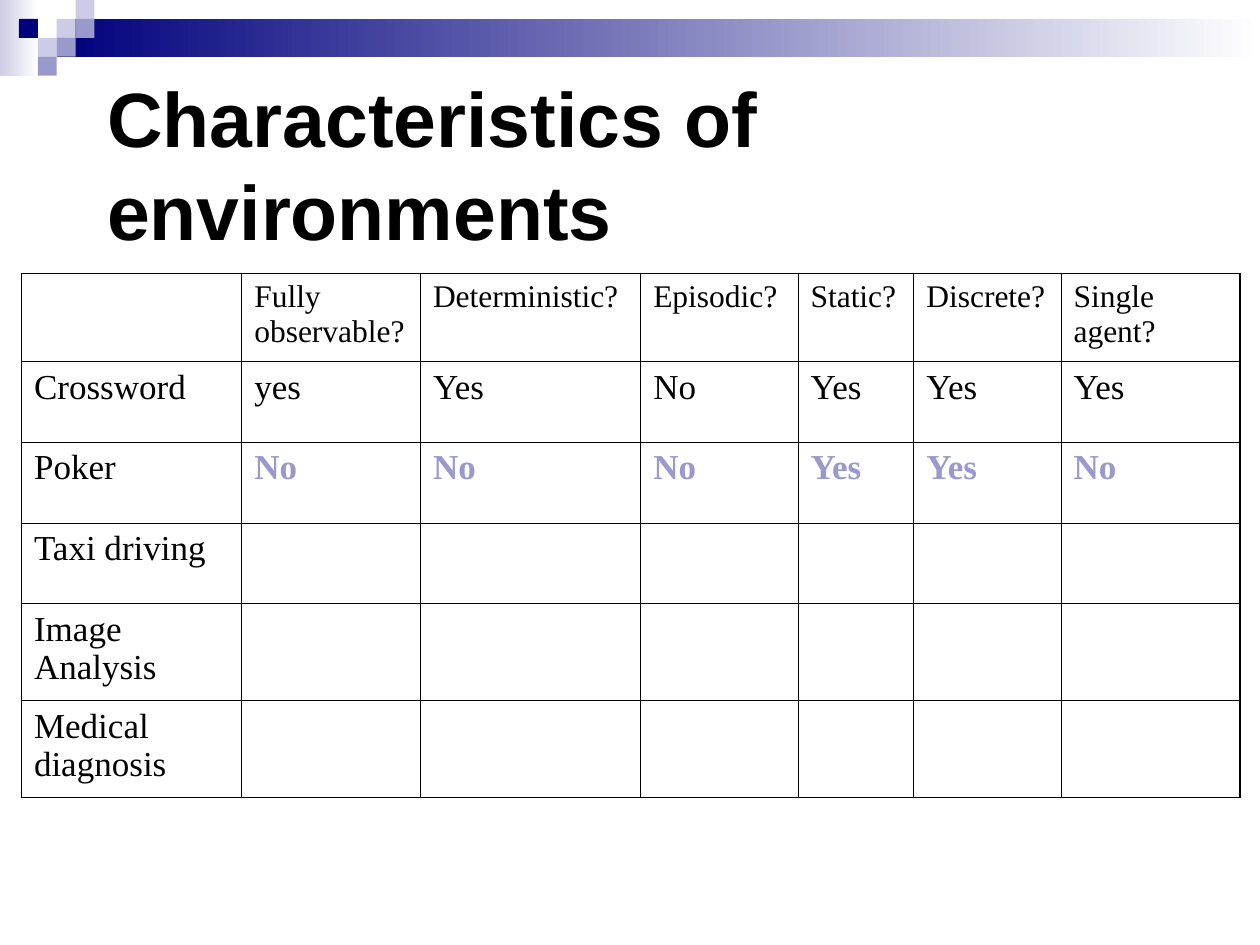
from dataclasses import dataclass

from lxml.etree import SubElement
from pptx import Presentation
from pptx.dml.color import RGBColor
from pptx.enum.shapes import MSO_SHAPE
from pptx.enum.text import MSO_ANCHOR, MSO_AUTO_SIZE, PP_ALIGN
from pptx.oxml.ns import qn
from pptx.util import Inches, Pt


@dataclass(frozen=True)
class Theme:
    """Colours, fonts and sizes of the deck."""
    ink: str = "000000"
    paper: str = "FFFFFF"
    navy: str = "00007D"
    lavender: str = "9999CC"
    mist: str = "CCCCE6"
    title_font: str = "Arial"
    table_font: str = "Times New Roman"
    title_size: int = 44
    header_size: int = 18
    body_size: int = 20
    inner_line: float = 0.45
    outer_line: float = 1.08


THEME = Theme()
COLUMN_WIDTHS = [1.75, 1.42, 1.75, 1.25, 0.92, 1.17, 1.42]
ROW_HEIGHTS = [0.7, 0.64, 0.64, 0.64, 0.77, 0.77]
ENVIRONMENTS = [
    ["", "Fully observable?", "Deterministic?", "Episodic?", "Static?", "Discrete?", "Single agent?"],
    ["Crossword", "yes", "Yes", "No", "Yes", "Yes", "Yes"],
    ["Poker", "No", "No", "No", "Yes", "Yes", "No"],
    ["Taxi driving"],
    ["Image Analysis"],
    ["Medical diagnosis"],
]
MOSAIC = [
    (3, 1, THEME.mist), (4, 0, THEME.mist), (4, 1, THEME.lavender),
    (2, 2, THEME.mist), (1, 1, THEME.navy), (3, 2, THEME.lavender),
    (2, 3, THEME.lavender),
]


def write_text(frame, text, font, size, color=THEME.ink, bold=False, space_before=0):
    """Write one left-aligned paragraph into a text frame."""
    paragraph = frame.paragraphs[0]
    paragraph.alignment = PP_ALIGN.LEFT
    paragraph.space_before = Pt(space_before)
    run = paragraph.add_run()
    run.text = text
    run.font.name = font
    run.font.size = Pt(size)
    run.font.bold = bold
    run.font.color.rgb = RGBColor.from_string(color)


def add_block(slide, left, top, width, height, color, fade_to=None):
    """Add a borderless rectangle, solid or fading to the right."""
    block = slide.shapes.add_shape(
        MSO_SHAPE.RECTANGLE, Inches(left), Inches(top), Inches(width), Inches(height))
    block.shadow.inherit = False
    block.line.fill.background()
    if fade_to:
        block.fill.gradient()
        block.fill.gradient_angle = 0
        for stop, shade in zip(block.fill.gradient_stops, (color, fade_to)):
            stop.color.rgb = RGBColor.from_string(shade)
    else:
        block.fill.solid()
        block.fill.fore_color.rgb = RGBColor.from_string(color)


def add_banner(slide, left, top, width, height):
    """Draw the fading bar and the mosaic of squares within a four-row band."""
    square = height / 4
    add_block(slide, left, top, 2 * square, height, THEME.mist, THEME.paper)
    add_block(slide, left + 3 * square, top + square, width - 3 * square,
              2 * square, THEME.navy, THEME.paper)
    for column, row, color in MOSAIC:
        add_block(slide, left + column * square, top + row * square, square, square, color)


def place_title(slide, left, top, width, height):
    """Move and fill the title placeholder."""
    title = slide.shapes.title
    title.left, title.top = Inches(left), Inches(top)
    title.width, title.height = Inches(width), Inches(height)
    frame = title.text_frame
    frame.word_wrap = True
    frame.auto_size = MSO_AUTO_SIZE.NONE
    frame.vertical_anchor = MSO_ANCHOR.MIDDLE
    write_text(frame, "Characteristics of environments", THEME.title_font,
               THEME.title_size, bold=True)


def set_borders(cell, outer_sides):
    """Rule a cell, with heavier lines on the sides at the table's edge."""
    properties = cell._tc.get_or_add_tcPr()
    for position, side in enumerate(("L", "R", "T", "B")):
        weight = THEME.outer_line if side in outer_sides else THEME.inner_line
        border = SubElement(properties, qn(f"a:ln{side}"), w=str(Pt(weight)))
        solid = SubElement(border, qn("a:solidFill"))
        SubElement(solid, qn("a:srgbClr"), val=THEME.ink)
        properties.insert(position, border)


def add_environment_table(slide, left, top, width, height):
    """Add the table of environments, scaled to the box."""
    rows, columns = len(ROW_HEIGHTS), len(COLUMN_WIDTHS)
    table = slide.shapes.add_table(
        rows, columns, Inches(left), Inches(top), Inches(width), Inches(height)).table
    table.first_row = table.horz_banding = False
    for column, share in zip(table.columns, COLUMN_WIDTHS):
        column.width = Inches(width * share / sum(COLUMN_WIDTHS))
    for row, share in zip(table.rows, ROW_HEIGHTS):
        row.height = Inches(height * share / sum(ROW_HEIGHTS))
    for r in range(rows):
        for c in range(columns):
            cell = table.cell(r, c)
            cell.fill.background()
            edges = {"L": c == 0, "R": c == columns - 1, "T": r == 0, "B": r == rows - 1}
            set_borders(cell, {side for side, outer in edges.items() if outer})
            if c < len(ENVIRONMENTS[r]) and ENVIRONMENTS[r][c]:
                size = THEME.body_size if r else THEME.header_size
                answer = ENVIRONMENTS[r][0] == "Poker" and c > 0
                write_text(cell.text_frame, ENVIRONMENTS[r][c], THEME.table_font, size,
                           color=THEME.lavender if answer else THEME.ink,
                           bold=answer, space_before=size / 4)


def main():
    """Build and save the slide."""
    deck = Presentation()
    deck.slide_width, deck.slide_height = Inches(10), Inches(7.5)
    slide = deck.slides.add_slide(deck.slide_layouts[5])
    add_banner(slide, 0, 0, 10, 0.6)
    place_title(slide, 0.75, 0.67, 8.5, 1.25)
    add_environment_table(slide, 0.17, 2.17, 9.67, 4.16)
    deck.save("out.pptx")


if __name__ == "__main__":
    main()
